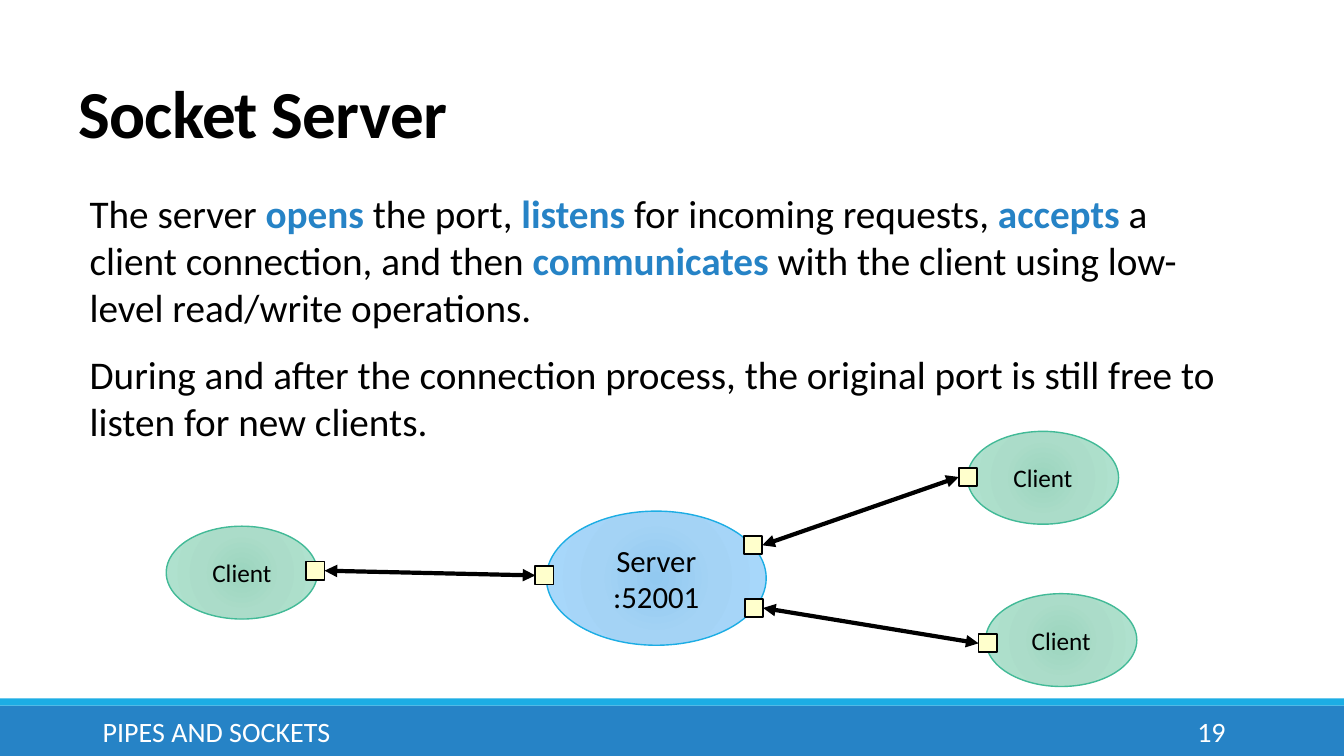
from lxml import etree
from pptx import Presentation
from pptx import util as u
from pptx.dml import color
from pptx.enum import shapes, text
from pptx.oxml import ns

BLACK, WHITE, BLUE, SKY = "000000", "FFFFFF", "2683C6", "1CADE4"


def rgb(value):
    return color.RGBColor.from_string(value)


def write(shape, paragraphs, size, ink, frame_format={}, para_format={}):
    frame = shape.text_frame
    for name, value in {"word_wrap": True, **frame_format}.items():
        setattr(frame, name, value)
    for index, spans in enumerate(paragraphs):
        para = frame.paragraphs[0] if index == 0 else frame.add_paragraph()
        for name, value in para_format.items():
            setattr(para, name, value)
        for words, span_ink, bold in spans:
            span = para.add_run()
            span.text = words
            for name, value in {"name": "Calibri", "size": u.Pt(size), "bold": bold}.items():
                setattr(span.font, name, value)
            span.font.color.rgb = rgb(span_ink or ink)


deck = Presentation()
deck.slide_width, deck.slide_height = u.Cm(33.87), u.Cm(19.05)
page = deck.slides.add_slide(deck.slide_layouts[6])
add_shape, add_textbox = page.shapes.add_shape, page.shapes.add_textbox
kinds = shapes.MSO_SHAPE

for top, height, fill in [(17.78, 1.27, BLUE), (17.6, 0.18, SKY)]:
    band = add_shape(kinds.RECTANGLE, 0, u.Cm(top), deck.slide_width, u.Cm(height))
    band.shadow.inherit = False
    band.fill.solid()
    band.fill.fore_color.rgb = rgb(fill)
    band.line.fill.background()

title = add_textbox(u.Cm(1.73), u.Cm(1.8), u.Cm(27.94), u.Cm(2.16))
write(title, [[("Socket Server", None, True)]], 48, BLACK,
      {"vertical_anchor": text.MSO_ANCHOR.BOTTOM}, {"line_spacing": 0.85})
title.text_frame.paragraphs[0].runs[0].font._element.set("spc", "-50")

body = add_textbox(u.Cm(2.26), u.Cm(4.65), u.Cm(28.73), u.Cm(11.66))
body_text = [
    [("The server ", None, False), ("opens ", BLUE, True),
     ("the port, ", None, False), ("listens ", BLUE, True),
     ("for incoming requests, ", None, False), ("accepts ", BLUE, True),
     ("a client connection, and then ", None, False), ("communicates ", BLUE, True),
     ("with the client using low-level read/write operations.", None, False)],
    [("During and after the connection process, the original port is still free "
      "to listen for new clients.", None, False)],
]
write(body, body_text, 28, BLACK, {"margin_left": 0, "margin_right": 0},
      {"space_before": u.Pt(12), "space_after": u.Pt(2)})

for words, left, width, align in [
    ("PIPES AND SOCKETS", 2.34, 21.31, text.PP_ALIGN.LEFT),
    ("19", 27.51, 3.63, text.PP_ALIGN.RIGHT),
]:
    footer = add_textbox(u.Cm(left), u.Cm(17.93), u.Cm(width), u.Cm(1.02))
    write(footer, [[(words, None, False)]], 20, WHITE,
          {"vertical_anchor": text.MSO_ANCHOR.MIDDLE}, {"alignment": align})

server_style = (5.54, 3.38, 22, SKY, ["92C9F0", "A4D3F5", "A9D9FD"])
client_style = (3.81, 2.34, 18, "42BA97", ["9BD5BE", "ABDCC9", "B1E4D0"])
for words, left, top, style in [
    ("Server :52001", 13.77, 12.88, server_style),
    ("Client", 4.19, 13.26, client_style),
    ("Client", 24.38, 10.87, client_style),
    ("Client", 24.84, 14.96, client_style),
]:
    width, height, size, outline, shades = style
    node = add_shape(kinds.OVAL, u.Cm(left), u.Cm(top), u.Cm(width), u.Cm(height))
    node.shadow.inherit = False
    node.line.color.rgb = rgb(outline)
    node.line.width = u.Pt(1)
    gradient = etree.Element(ns.qn("a:gradFill"), rotWithShape="1")
    stops = etree.SubElement(gradient, ns.qn("a:gsLst"))
    for position, shade in zip((0, 45000, 100000), shades):
        stop = etree.SubElement(stops, ns.qn("a:gs"), pos=str(position))
        etree.SubElement(stop, ns.qn("a:srgbClr"), val=shade)
    circle = etree.SubElement(gradient, ns.qn("a:path"), path="circle")
    etree.SubElement(circle, ns.qn("a:fillToRect"), {side: "100000" for side in "ltrb"})
    node._element.spPr.find(ns.qn("a:prstGeom")).addnext(gradient)
    write(node, [[(words, None, False)]], size, BLACK,
          {"vertical_anchor": text.MSO_ANCHOR.MIDDLE},
          {"alignment": text.PP_ALIGN.CENTER})

for port_pair in [
    [(7.72, 14.15), (13.49, 14.27)],
    [(18.75, 13.51), (24.16, 11.79)],
    [(18.77, 15.09), (24.66, 15.98)],
]:
    ports = []
    for left, top in port_pair:
        port = add_shape(kinds.RECTANGLE, u.Cm(left), u.Cm(top), u.Cm(0.46), u.Cm(0.46))
        port.shadow.inherit = False
        port.fill.solid()
        port.fill.fore_color.rgb = rgb("FFFFCC")
        port.line.color.rgb = rgb(BLACK)
        port.line.width = u.Pt(1.25)
        ports.append(port)
    link = page.shapes.add_connector(shapes.MSO_CONNECTOR.STRAIGHT, 0, 0, 0, 0)
    link.begin_connect(ports[0], 3)
    link.end_connect(ports[1], 1)
    link.line.color.rgb = rgb(BLACK)
    link.line.width = u.Pt(3)
    for end in ("a:headEnd", "a:tailEnd"):
        etree.SubElement(link.line._get_or_add_ln(), ns.qn(end), type="triangle")
    etree.SubElement(link._element.spPr, ns.qn("a:effectLst"))

deck.save("out.pptx")
